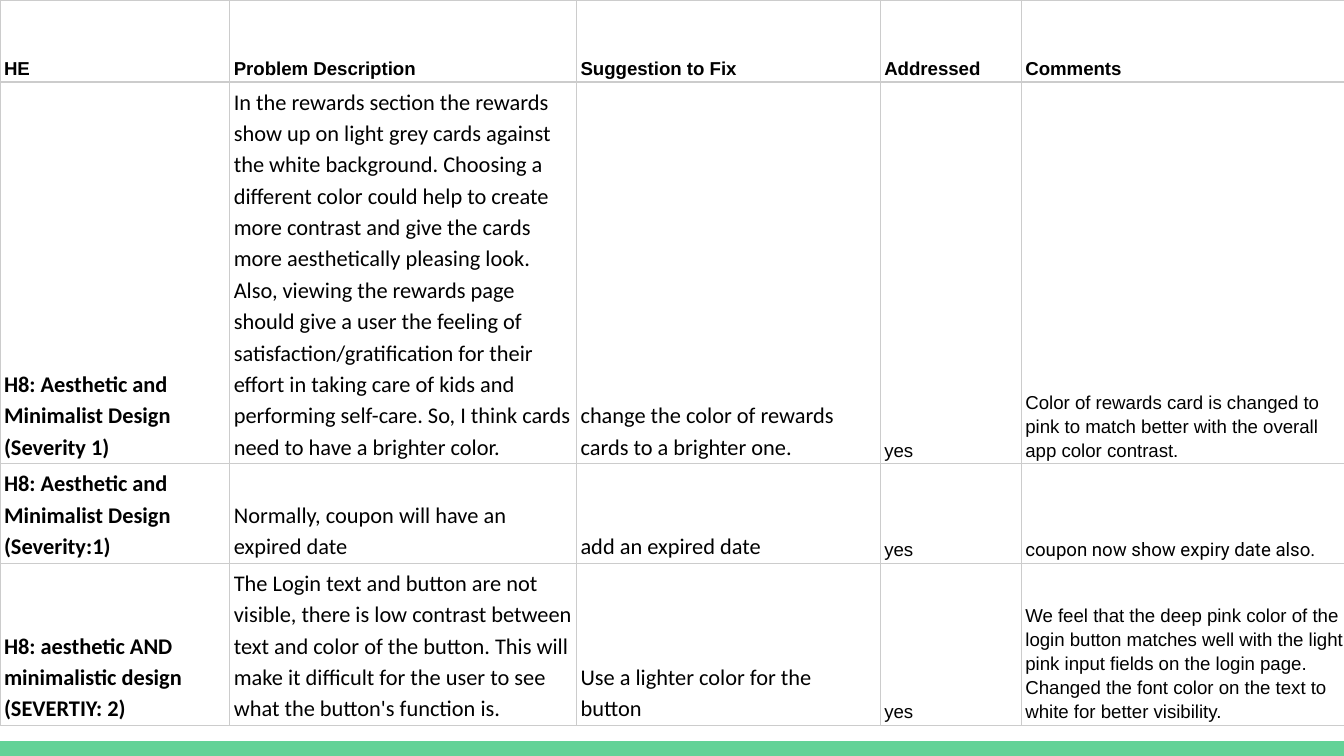
from lxml.etree import SubElement
from pptx import Presentation
from pptx.dml.color import RGBColor
from pptx.enum.shapes import MSO_SHAPE
from pptx.enum.text import MSO_ANCHOR
from pptx.oxml.ns import qn
from pptx.util import Inches, Pt

BLACK = RGBColor(0, 0, 0)
WHITE = RGBColor(0xFF, 0xFF, 0xFF)
GREEN = RGBColor(0x63, 0xD2, 0x97)
GREY = RGBColor(0xCC, 0xCC, 0xCC)

COLS = [1.71, 2.58, 2.26, 1.05, 2.43]
ROW = 0.61
HEADS = ["HE", "Problem Description", "Suggestion to Fix", "Addressed", "Comments"]
ROWS = [
    ["H8: Aesthetic and Minimalist Design (Severity 1)",
     "In the rewards section the rewards show up on light grey cards against "
     "the white background. Choosing a different color could help to create "
     "more contrast and give the cards more aesthetically pleasing look. Also, "
     "viewing the rewards page should give a user the feeling of "
     "satisfaction/gratification for their effort in taking care of kids and "
     "performing self-care. So, I think cards need to have a brighter color.",
     "change the color of rewards cards to a brighter one.",
     "yes",
     "Color of rewards card is changed to pink to match better with the "
     "overall app color contrast."],
    ["H8: Aesthetic and Minimalist Design (Severity:1)",
     "Normally, coupon will have an expired date",
     "add an expired date",
     "yes",
     "coupon now show expiry date also."],
    ["H8: aesthetic AND minimalistic design (SEVERTIY: 2)",
     "The Login text and button are not visible, there is low contrast between "
     "text and color of the button. This will make it difficult for the user "
     "to see what the button's function is.",
     "Use a lighter color for the button",
     "yes",
     "We feel that the deep pink color of the login button matches well with "
     "the light pink input fields on the login page. Changed the font color on "
     "the text to white for better visibility."],
]


def add_edges(cell):
    """Draw a thin grey line on all four sides of a cell."""
    props = cell._tc.get_or_add_tcPr()
    for side in ("a:lnL", "a:lnR", "a:lnT", "a:lnB"):
        line = SubElement(props, qn(side), w=str(Pt(0.75)))
        fill = SubElement(line, qn("a:solidFill"))
        SubElement(fill, qn("a:srgbClr"), val=str(GREY))


# Widescreen slide, 16 to 9
deck = Presentation()
deck.slide_width = Inches(10)
deck.slide_height = deck.slide_width * 9 // 16
slide = deck.slides.add_slide(deck.slide_layouts[6])
slide.background.fill.solid()
slide.background.fill.fore_color.rgb = WHITE

# Green bar along the foot
thick = Inches(0.11)
bar = slide.shapes.add_shape(MSO_SHAPE.RECTANGLE, 0, deck.slide_height - thick,
                             deck.slide_width, thick)
bar.shadow.inherit = False
bar.fill.solid()
bar.fill.fore_color.rgb = GREEN
bar.line.fill.background()

# Table of findings; rows grow with their text
grid = [HEADS] + ROWS
table = slide.shapes.add_table(len(grid), len(COLS), 0, 0, Inches(sum(COLS)),
                               Inches(ROW * len(grid))).table
table.first_row = table.horz_banding = False
for col, width in zip(table.columns, COLS):
    col.width = Inches(width)

for r, texts in enumerate(grid):
    for c, text in enumerate(texts):
        cell = table.cell(r, c)
        add_edges(cell)
        cell.fill.background()
        cell.vertical_anchor = MSO_ANCHOR.BOTTOM
        cell.margin_left = cell.margin_right = Inches(0.03)
        cell.margin_top = cell.margin_bottom = Inches(0.02)

        para = cell.text_frame.paragraphs[0]
        para.line_spacing = 1.15
        run = para.add_run()
        run.text = text
        # Findings are large; heads, answers and comments are small
        large = r > 0 and c < 3
        run.font.name = "Calibri" if large else "Arial"
        run.font.size = Pt(12 if large else 10)
        run.font.bold = r == 0 or c == 0
        run.font.color.rgb = BLACK
        # The coupon comment has its own font and fill
        if (r, c) == (2, 4):
            run.font.name = "Roboto"
            cell.fill.solid()
            cell.fill.fore_color.rgb = WHITE

deck.save("out.pptx")
